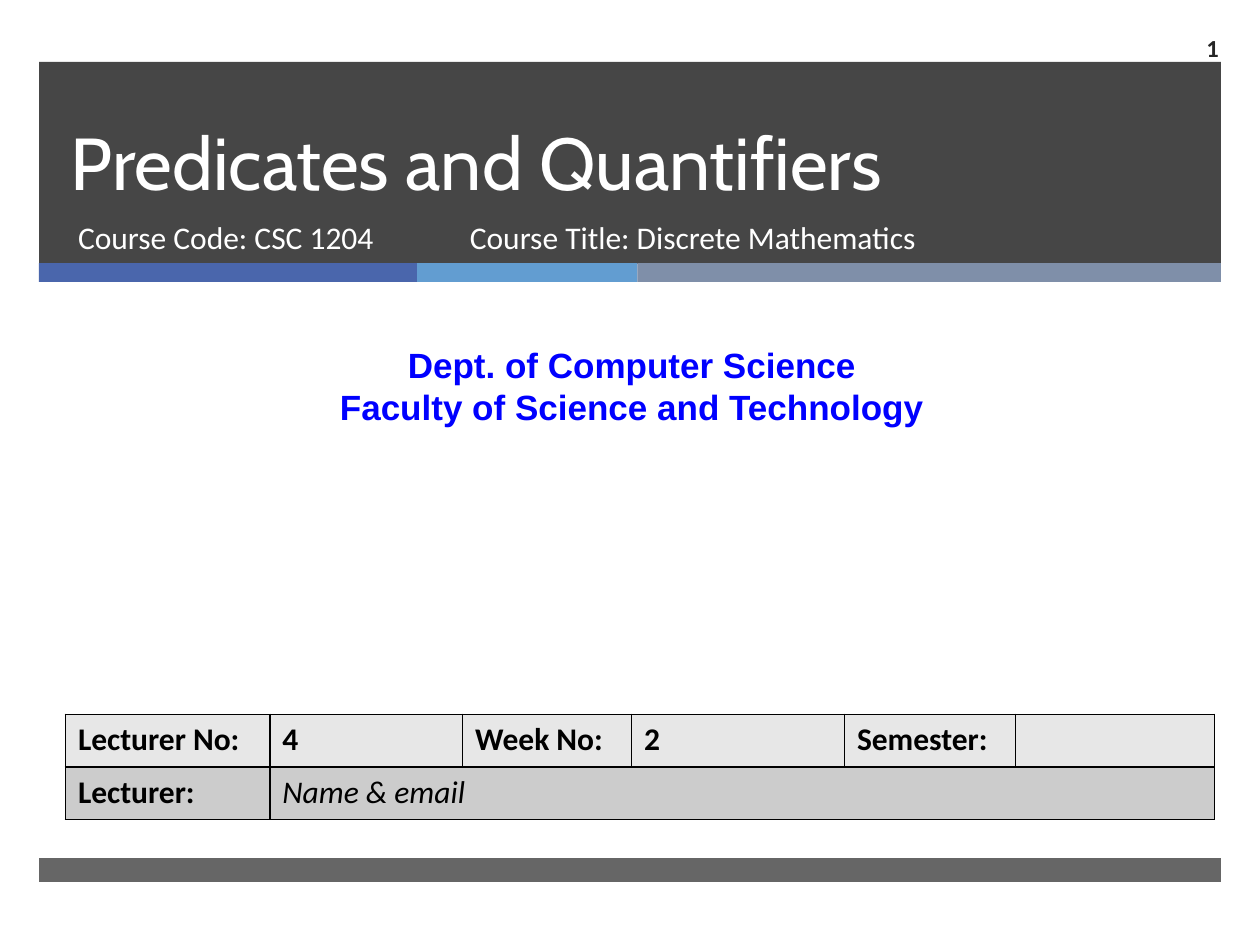
from dataclasses import dataclass

from lxml import etree
from pptx import Presentation
from pptx import util as u
from pptx.dml.color import RGBColor
from pptx.enum import shapes, text
from pptx.oxml import ns

Pt = u.Pt


@dataclass(frozen=True)
class Theme:
    dark: str = "262626"
    white: str = "FFFFFF"
    black: str = "000000"
    blue: str = "0000FF"
    accents: tuple = ("4A66AC", "629DD1", "7F8FA9")
    rows: tuple = ("E7E7E7", "CCCCCC")
    title: int = 42
    dept: int = 20
    body: int = 18
    number: int = 14
    heading_font: str = "Cabin"
    body_font: str = "Calibri"
    dept_font: str = "Arial"


T = Theme()
LEFT = 22.3
BAND_WIDTH = 675.4


def pts(*values):
    return [Pt(v) for v in values]


def add_bar(s, box, color, opacity=100):
    bar = s.shapes.add_shape(shapes.MSO_SHAPE.RECTANGLE, *pts(*box))
    bar.shadow.inherit = False
    bar.line.fill.background()
    bar.fill.solid()
    bar.fill.fore_color.rgb = RGBColor.from_string(color)
    if opacity < 100:
        clr = bar._element.spPr.find(".//" + ns.qn("a:srgbClr"))
        etree.SubElement(clr, ns.qn("a:alpha"), val=str(opacity * 1000))


def style(p, size, color, font=T.body_font, bold=False, italic=False,
          align=text.PP_ALIGN.LEFT):
    p.alignment = align
    p.font.size = Pt(size)
    p.font.name = font
    p.font.bold = bold
    p.font.italic = italic
    p.font.color.rgb = RGBColor.from_string(color)


def fill_text(sp, lines, size, color, anchor=text.MSO_ANCHOR.TOP, **look):
    tf = sp.text_frame
    tf.word_wrap = True
    tf.auto_size = text.MSO_AUTO_SIZE.NONE
    tf.vertical_anchor = anchor
    tf.text = "\n".join(lines)
    for p in tf.paragraphs:
        p.space_before = Pt(0)
        style(p, size, color, **look)
    return tf


def add_text(s, box, *args, **look):
    return fill_text(s.shapes.add_textbox(*pts(*box)), *args, **look)


def place(s, sp, box):
    """Position a placeholder and bring it in front of the bars."""
    sp.left, sp.top, sp.width, sp.height = pts(*box)
    s.shapes._spTree.append(sp._element)


def add_border(cell):
    tc_pr = cell._tc.get_or_add_tcPr()
    for i, side in enumerate(("lnL", "lnR", "lnT", "lnB")):
        ln = etree.Element(ns.qn("a:" + side), w=str(Pt(1)))
        fill = etree.SubElement(ln, ns.qn("a:solidFill"))
        etree.SubElement(fill, ns.qn("a:srgbClr"), val=T.black)
        tc_pr.insert(i, ln)


def add_details(s, left, top, widths, row_height, rows):
    frame = s.shapes.add_table(len(rows), len(widths), *pts(
        left, top, sum(widths), row_height * len(rows)))
    table = frame.table
    for column, width in zip(table.columns, widths):
        column.width = Pt(width)
    for r, (values, color) in enumerate(zip(rows, T.rows)):
        table.rows[r].height = Pt(row_height)
        for c in range(len(widths)):
            cell = table.cell(r, c)
            cell.fill.solid()
            cell.fill.fore_color.rgb = RGBColor.from_string(color)
            add_border(cell)
            p = cell.text_frame.paragraphs[0]
            if c < len(values):
                p.text = values[c]
            is_name = r == 1 and c == 1
            style(p, T.body, T.black, bold=not is_name, italic=is_name)
    table.cell(1, 1).merge(table.cell(1, len(widths) - 1))


def main():
    prs = Presentation()
    prs.slide_width, prs.slide_height = pts(720, 540)
    s = prs.slides.add_slide(prs.slide_layouts[0])

    # Header band, accent strip and footer band
    add_bar(s, (LEFT, 35.3, BAND_WIDTH, 115.5), T.dark, 85)
    x = LEFT
    for width, color in zip((216, 126, 333.4), T.accents):
        add_bar(s, (x, 150.3, width, 10.8), color)
        x += width
    add_bar(s, (LEFT, 490.3, BAND_WIDTH, 13.7), T.dark, 70)

    # Title and course
    title, course = s.shapes.title, s.placeholders[1]
    place(s, title, (33.1, 35.3, 614.9, 85.7))
    tf = fill_text(title, ["Predicates and Quantifiers"], T.title, T.white,
                   anchor=text.MSO_ANCHOR.BOTTOM, font=T.heading_font)
    tf.paragraphs[0].line_spacing = Pt(46)
    place(s, course, (37.4, 121, 219.6, 38.2))
    fill_text(course, ["Course Code: CSC 1204"], T.body, T.white)
    add_text(s, (261.4, 121, 327.6, 38.2),
             ["Course Title: Discrete Mathematics"], T.body, T.white)

    # Department
    add_text(s, (5.8, 193, 710.6, 55.4),
             ["Dept. of Computer Science", "Faculty of Science and Technology"],
             T.dept, T.blue, font=T.dept_font, bold=True,
             align=text.PP_ALIGN.CENTER)

    # Lecture details
    add_details(s, 37.4, 408.2, (116.8, 110.2, 96.5, 121.7, 97.8, 113.8), 30, [
        ["Lecturer No:", "4", "Week No:", "2", "Semester:"],
        ["Lecturer:", "Name & email"],
    ])

    # Slide number
    add_text(s, (653.8, 13, 49.7, 28.1), ["1"], T.number, T.dark,
             anchor=text.MSO_ANCHOR.MIDDLE, bold=True,
             align=text.PP_ALIGN.RIGHT)

    prs.save("out.pptx")


if __name__ == "__main__":
    main()
